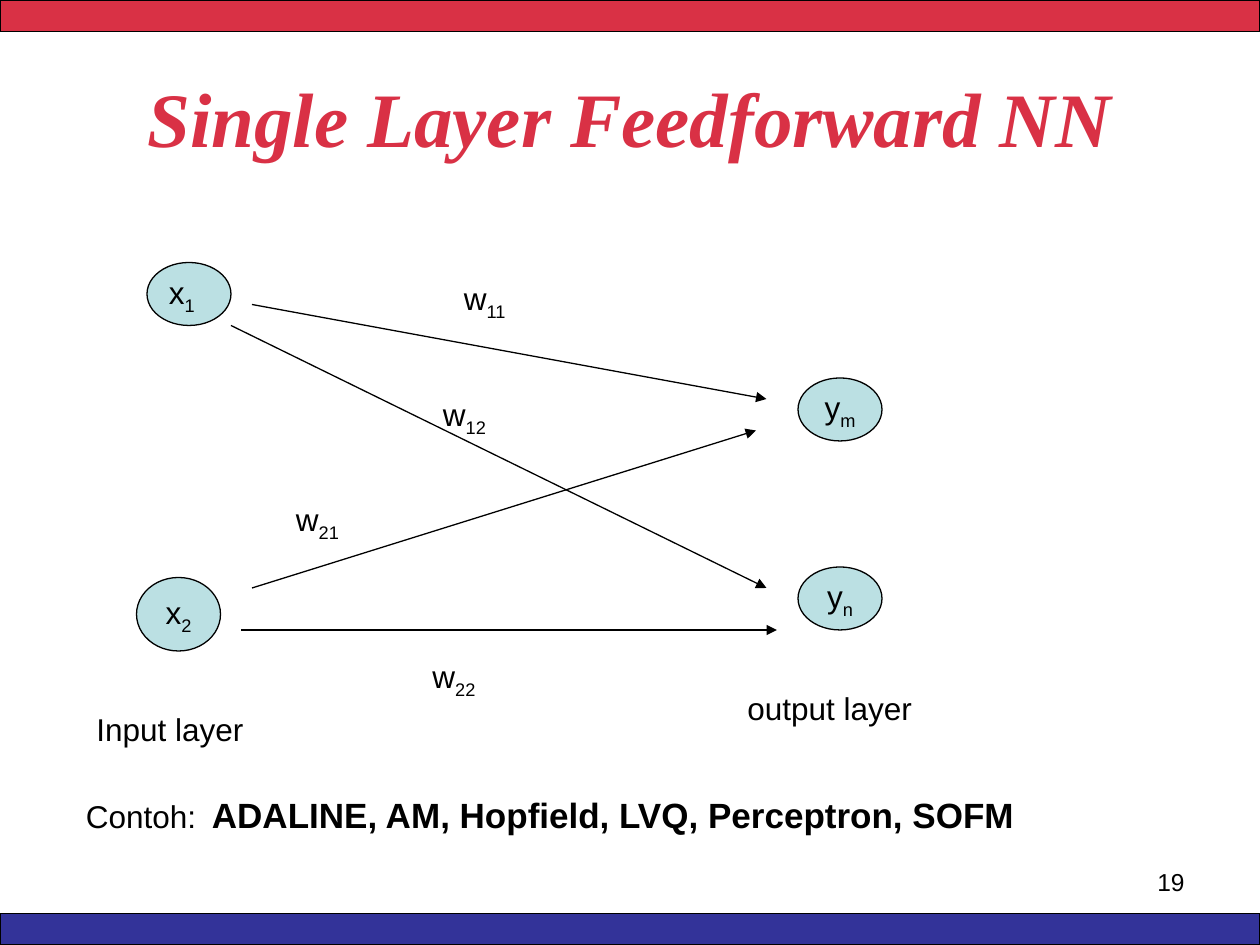
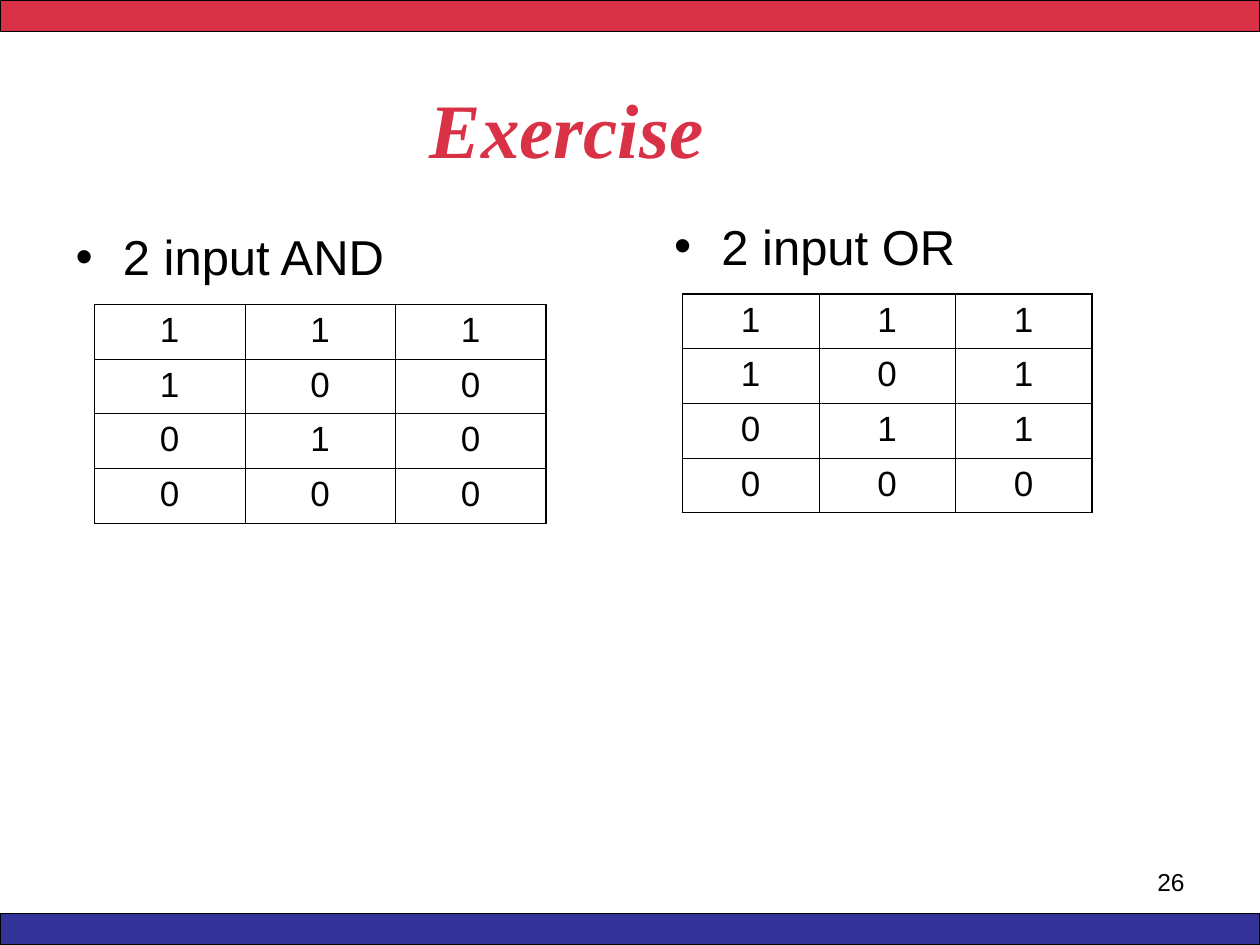
from dataclasses import dataclass

from lxml import etree
from pptx import Presentation
from pptx.dml.color import RGBColor
from pptx.enum.shapes import MSO_CONNECTOR, MSO_SHAPE
from pptx.enum.text import MSO_ANCHOR, PP_ALIGN
from pptx.oxml.ns import qn
from pptx.util import Pt

RECT, OVAL = MSO_SHAPE.RECTANGLE, MSO_SHAPE.OVAL
LINE = MSO_CONNECTOR.STRAIGHT
LEFT, MID, RIGHT = PP_ALIGN.LEFT, PP_ALIGN.CENTER, PP_ALIGN.RIGHT
CENTER = MSO_ANCHOR.MIDDLE
SCALE = 7620
WIDTH, HEIGHT = 1200, 900
BAND = 30


@dataclass(frozen=True)
class Theme:
    red: str = "D93145"
    blue: str = "333399"
    node: str = "BBE0E3"
    ink: str = "000000"
    sans: str = "Arial"
    serif: str = "Times New Roman"
    title: int = 44
    list: int = 28
    cell: int = 20
    label: int = 18
    number: int = 14
    line: float = 0.75
    thick: float = 1.08
    thin: float = 0.45


THEME = Theme()


def emu(*sizes):
    return [size * SCALE for size in sizes]


def style(run, size, color=THEME.ink, face=THEME.sans, bold=False, italic=False):
    font = run.font
    font.size, font.name = Pt(size), face
    font.bold, font.italic = bold, italic
    font.color.rgb = RGBColor.from_string(color)


def write(frame, text, size, align=LEFT, sub="", **looks):
    frame.text = text
    para = frame.paragraphs[0]
    para.alignment = align
    para.space_before = Pt(0)
    if sub:
        tail = para.add_run()
        tail.text = sub
        tail.font._element.set("baseline", "-25000")
    for run in para.runs:
        style(run, size, **looks)
    return para


def place(shape, box):
    shape.left, shape.top, shape.width, shape.height = emu(*box)


def add_label(slide, box, text, size=THEME.label, align=LEFT, sub=""):
    frame = slide.shapes.add_textbox(*emu(*box)).text_frame
    frame.word_wrap = True
    return write(frame, text, size, align, sub)


def add_solid(slide, kind, box, color):
    shape = slide.shapes.add_shape(kind, *emu(*box))
    shape.shadow.inherit = False
    shape.fill.solid()
    shape.fill.fore_color.rgb = RGBColor.from_string(color)
    shape.line.color.rgb = RGBColor.from_string(THEME.ink)
    shape.line.width = Pt(THEME.line)
    return shape


def add_node(slide, box, name="", sub=""):
    shape = add_solid(slide, OVAL, box, THEME.node)
    if name:
        frame = shape.text_frame
        frame.word_wrap = False
        frame.vertical_anchor = CENTER
        write(frame, name, THEME.label, MID, sub)


def add_arrow(slide, start, end):
    arrow = slide.shapes.add_connector(LINE, *emu(*start, *end))
    arrow.line.color.rgb = RGBColor.from_string(THEME.ink)
    arrow.line.width = Pt(THEME.line)
    props = arrow._element.spPr
    etree.SubElement(props.find(qn("a:ln")), qn("a:tailEnd"), type="triangle")
    etree.SubElement(props, qn("a:effectLst"))


def add_edge(props, side, width):
    line = etree.SubElement(props, qn(f"a:ln{side}"), w=str(Pt(width)))
    fill = etree.SubElement(line, qn("a:solidFill"))
    etree.SubElement(fill, qn("a:srgbClr"), val=THEME.ink)


def add_grid(slide, box, rows):
    last = len(rows[0]) - 1
    table = slide.shapes.add_table(len(rows), last + 1, *emu(*box)).table
    table.first_row = table.horz_banding = False
    for r, row in enumerate(rows):
        for c, value in enumerate(row):
            cell = table.cell(r, c)
            write(cell.text_frame, value, THEME.cell, MID)
            props = cell._tc.get_or_add_tcPr()
            heavy = {"L": c == 0, "R": c == last, "T": r == 0, "B": False}
            for side, thick in heavy.items():
                add_edge(props, side, THEME.thick if thick else THEME.thin)
            cell.fill.background()


def add_page(deck, layout, title, box, number):
    slide = deck.slides.add_slide(deck.slide_layouts[layout])
    add_solid(slide, RECT, (0, 0, WIDTH, BAND), THEME.red)
    add_solid(slide, RECT, (0, HEIGHT - BAND, WIDTH, BAND), THEME.blue)
    add_label(slide, (860, 820, 280, 62), number, THEME.number, RIGHT)
    place(slide.shapes.title, box)
    write(slide.shapes.title.text_frame, title, THEME.title, MID,
          color=THEME.red, face=THEME.serif, bold=True, italic=True)
    return slide


def add_net(slide, left, top):
    nodes = [
        (10, 0, 60, "", ""),
        (0, 300, 70, "x", "2"),
        (630, 110, 60, "y", "m"),
        (630, 290, 60, "y", "n"),
    ]
    for x, y, high, name, sub in nodes:
        add_node(slide, (left + x, top + y, 80, high), name, sub)

    arrows = [
        (110, 40, 600, 130),
        (110, 310, 590, 160),
        (90, 60, 600, 310),
        (100, 350, 610, 350),
    ]
    for x, y, far, low in arrows:
        add_arrow(slide, (left + x, top + y), (left + far, top + low))

    marks = [
        (19, 4, "x", "1"),
        (300, 10, "w", "11"),
        (280, 120, "w", "12"),
        (140, 220, "w", "21"),
        (270, 370, "w", "22"),
    ]
    for x, y, name, sub in marks:
        add_label(slide, (left + x, top + y, 80, 53), name, sub=sub)

    for x, y, text in [(-50, 420, "Input layer"), (570, 400, "output layer")]:
        add_label(slide, (left + x, top + y, 210, 48), text)


def add_list(slide, index, left, top, text, shift, width, rows):
    body = slide.placeholders[index]
    place(body, (left, top, 530, 594))
    write(body.text_frame, text, THEME.list)
    add_grid(slide, (left + shift, top + 80, width, 208), rows)


def build_net(deck):
    slide = add_page(deck, 5, "Single Layer Feedforward NN", (60, 36, 1080, 150), "19")
    add_net(slide, 130, 250)
    para = add_label(slide, (70, 750, 1010, 53), "Contoh:\t")
    names = para.add_run()
    names.text = "ADALINE, AM, Hopfield, LVQ, Perceptron, SOFM"
    style(names, THEME.cell, bold=True)


def build_tasks(deck):
    slide = add_page(deck, 3, "Exercise", (0, 47, 1080, 150), "26")
    add_list(slide, 1, 60, 210, "2 input AND", 30, 430, ["111", "100", "010", "000"])
    add_list(slide, 2, 630, 200, "2 input OR", 20, 390, ["111", "101", "011", "000"])


def main():
    deck = Presentation()
    deck.slide_width, deck.slide_height = emu(WIDTH, HEIGHT)
    build_net(deck)
    build_tasks(deck)
    deck.save("out.pptx")


if __name__ == "__main__":
    main()
